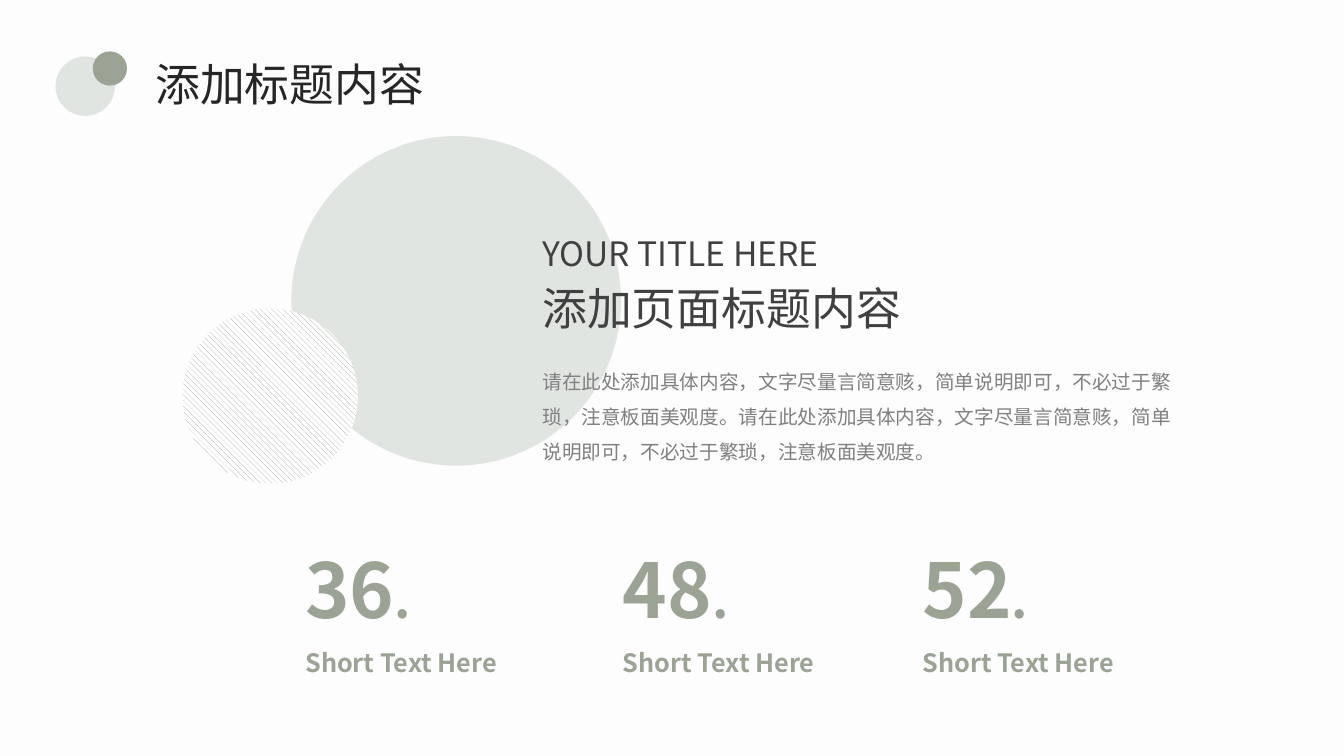
from dataclasses import dataclass

from lxml.etree import SubElement
from pptx import Presentation
from pptx.dml.color import RGBColor
from pptx.dml.fill import FillFormat
from pptx.enum.dml import MSO_PATTERN
from pptx.enum.shapes import MSO_SHAPE
from pptx.enum.text import MSO_ANCHOR, MSO_AUTO_SIZE, PP_ALIGN
from pptx.oxml.ns import qn
from pptx.shapes.autoshape import Shape
from pptx.slide import Slide
from pptx.text.text import _Run
from pptx.util import Inches, Pt

FONT = "Noto Sans CJK SC"
SAGE = "9AA394"
MIST = "E1E5E2"
SENTENCE = "请在此处添加具体内容，文字尽量言简意赅，简单说明即可，不必过于繁琐，注意板面美观度。"


@dataclass
class Circle:
    """A disc by its top left corner and diameter."""

    left: float
    top: float
    diameter: float
    color: str


@dataclass
class Caption:
    """A single-paragraph text with its place and look."""

    text: str
    left: float
    top: float
    width: float
    height: float
    size: int
    color: str
    bold: bool = False
    wrap: bool = True


@dataclass
class Figure:
    """A large number in the bottom row."""

    number: str
    left: float


BACKDROP = Circle(2.89, 1.35, 3.27, MIST)
HATCHED = Circle(1.81, 3.06, 1.74, SAGE)
EMBLEM = [Circle(0.55, 0.56, 0.59, MIST), Circle(0.92, 0.51, 0.34, SAGE)]
HEADING = Caption("添加标题内容", 1.44, 0.51, 2.89, 0.64, 32, "262626", wrap=False)
DESCRIPTION = Caption(SENTENCE * 2, 5.28, 3.5, 6.46, 1.12, 14, "808080")
SUBTITLES = [
    Caption("添加页面标题内容", 5.28, 2.74, 3.79, 0.64, 32, "404040", wrap=False),
    Caption("YOUR TITLE HERE", 5.28, 2.26, 3.48, 0.47, 24, "404040"),
]
FIGURES = [Figure("36", 2.93), Figure("48", 6.08), Figure("52", 9.05)]


def paint(fill: FillFormat, color: str) -> None:
    """Fill with a solid hex colour."""
    fill.solid()
    fill.fore_color.rgb = RGBColor.from_string(color)


def style_run(run: _Run, size: int, color: str, bold: bool) -> None:
    """Set size, colour, weight and both Latin and East Asian fonts."""
    run.font.size = Pt(size)
    run.font.bold = bold
    paint(run.font.fill, color)
    run.font.name = FONT
    SubElement(run.font._element, qn("a:ea"), typeface=FONT)


def write(holder: Shape, caption: Caption) -> None:
    """Place a text holder and write its caption."""
    holder.left, holder.top = Inches(caption.left), Inches(caption.top)
    holder.width, holder.height = Inches(caption.width), Inches(caption.height)
    frame = holder.text_frame
    frame.text = caption.text
    frame.word_wrap = caption.wrap
    frame.auto_size = MSO_AUTO_SIZE.NONE
    frame.vertical_anchor = MSO_ANCHOR.TOP
    paragraph = frame.paragraphs[0]
    paragraph.alignment = PP_ALIGN.LEFT
    paragraph.space_before = Pt(0)
    style_run(paragraph.runs[0], caption.size, caption.color, caption.bold)


def add_caption(slide: Slide, caption: Caption) -> Shape:
    """Add a text box holding a caption."""
    box = slide.shapes.add_textbox(0, 0, Inches(1), Inches(1))
    write(box, caption)
    return box


def add_circle(shapes, circle: Circle) -> Shape:
    """Add a plain disc to a slide or group."""
    side = Inches(circle.diameter)
    disc = shapes.add_shape(
        MSO_SHAPE.OVAL, Inches(circle.left), Inches(circle.top), side, side
    )
    disc.shadow.inherit = False
    disc.line.fill.background()
    paint(disc.fill, circle.color)
    return disc


def add_figure(slide: Slide, figure: Figure) -> None:
    """Add a number with a smaller full stop and its label."""
    number = add_caption(
        slide, Caption(figure.number, figure.left, 5.34, 2.48, 1.01, 54, SAGE, True)
    )
    stop = number.text_frame.paragraphs[0].add_run()
    stop.text = "."
    style_run(stop, 36, SAGE, True)
    add_caption(
        slide, Caption("Short Text Here", figure.left, 6.37, 2.32, 0.4, 18, SAGE, True)
    )


def fill_description(body: Shape) -> None:
    """Write the description without bullet or indent."""
    write(body, DESCRIPTION)
    paragraph = body.text_frame.paragraphs[0]
    paragraph.line_spacing = 1.5
    properties = paragraph._p.get_or_add_pPr()
    properties.set("marL", "0")
    properties.set("indent", "0")
    SubElement(properties, qn("a:buNone"))


def main() -> None:
    """Build and save the slide."""
    deck = Presentation()
    deck.slide_width, deck.slide_height = Inches(13.33), Inches(7.5)
    slide = deck.slides.add_slide(deck.slide_layouts[1])
    paint(slide.background.fill, "FDFDFD")

    backdrop = add_circle(slide.shapes, BACKDROP)
    slide.shapes._spTree.insert(2, backdrop._element)
    write(slide.shapes.title, HEADING)
    fill_description(slide.placeholders[1])

    emblem = slide.shapes.add_group_shape()
    for circle in EMBLEM:
        add_circle(emblem.shapes, circle)
    for subtitle in SUBTITLES:
        add_caption(slide, subtitle)
    for figure in FIGURES:
        add_figure(slide, figure)

    hatched = add_circle(slide.shapes, HATCHED)
    hatched.fill.patterned()
    hatched.fill.pattern = MSO_PATTERN.WIDE_DOWNWARD_DIAGONAL
    hatched.fill.fore_color.rgb = RGBColor.from_string(HATCHED.color)
    hatched.fill.back_color.rgb = RGBColor.from_string("FFFFFF")

    deck.save("out.pptx")


if __name__ == "__main__":
    main()
